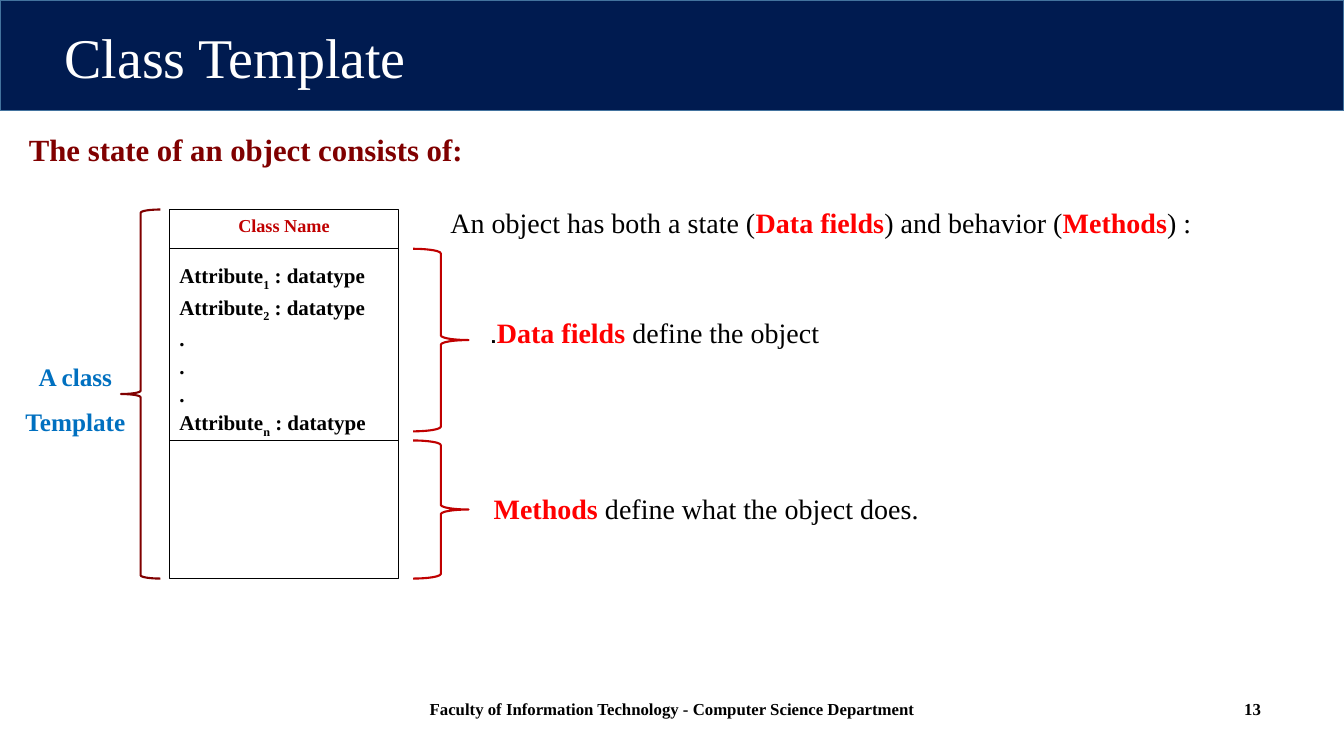
"""Builds the slide that explains a class template with its data fields and methods."""
from dataclasses import dataclass
from typing import NamedTuple

from lxml import etree
from pptx import Presentation
from pptx.dml.color import RGBColor
from pptx.enum.shapes import MSO_CONNECTOR, MSO_SHAPE
from pptx.enum.text import MSO_ANCHOR, MSO_AUTO_SIZE, PP_ALIGN
from pptx.oxml.ns import qn
from pptx.util import Cm, Pt

LEFT, CENTER, RIGHT = PP_ALIGN.LEFT, PP_ALIGN.CENTER, PP_ALIGN.RIGHT
TOP, MIDDLE = MSO_ANCHOR.TOP, MSO_ANCHOR.MIDDLE
RECTANGLE = MSO_SHAPE.RECTANGLE
LEFT_BRACE, RIGHT_BRACE = MSO_SHAPE.LEFT_BRACE, MSO_SHAPE.RIGHT_BRACE
STRAIGHT = MSO_CONNECTOR.STRAIGHT
NO_AUTOFIT = MSO_AUTO_SIZE.NONE
TITLE_ONLY = 5


@dataclass(frozen=True)
class Theme:
    """Holds the font, colours and type sizes of the slide."""
    font: str = "Times New Roman"
    navy: str = "001B50"
    steel: str = "43739E"
    white: str = "FFFFFF"
    black: str = "000000"
    maroon: str = "800000"
    crimson: str = "C00000"
    red: str = "FF0000"
    blue: str = "0070C0"
    title: int = 40
    heading: int = 22
    body: int = 20
    label: int = 18
    attribute: int = 15
    class_name: int = 13
    footer: int = 12


THEME = Theme()


class Area(NamedTuple):
    """Gives left, top, width and height in centimetres."""
    left: float
    top: float
    width: float
    height: float


class Span(NamedTuple):
    """Describes one stretch of text in one format."""
    text: str
    size: int = THEME.body
    color: str = THEME.black
    bold: bool = False
    subscript: bool = False


@dataclass(frozen=True)
class Line:
    """Describes one paragraph."""
    spans: list[Span]
    align: PP_ALIGN = LEFT
    spacing: float = 1.0
    before: float = 0
    after: float = 0
    right_to_left: bool = False


@dataclass(frozen=True)
class Label:
    """Describes one text box."""
    area: Area
    lines: list[Line]
    anchor: MSO_ANCHOR = TOP


@dataclass(frozen=True)
class Outline:
    """Describes one preset shape with its line and fill."""
    kind: MSO_SHAPE
    area: Area
    color: str
    weight: float
    fill: str | None = None


def keyword(text: str) -> Span:
    """Returns a highlighted term."""
    return Span(text, color=THEME.red, bold=True)


def attribute(index: str, before: float = 0) -> Line:
    """Returns one attribute line with its subscript index."""
    size = THEME.attribute
    return Line([Span("Attribute", size, bold=True),
                 Span(index, size, bold=True, subscript=True),
                 Span(" : datatype", size, bold=True)], before=before, after=2)


BANNER = Outline(RECTANGLE, Area(0, 0, 33.87, 2.79), THEME.steel, 1, THEME.navy)
TITLE = Label(Area(1.37, 0.61, 23.44, 1.8),
              [Line([Span("Class Template", THEME.title, THEME.white)], spacing=0.9)], MIDDLE)

CLASS_LEFT, CLASS_TOP, CLASS_WIDTH, CLASS_HEIGHT = 4.27, 5.28, 5.77, 9.3
CLASS_BOTTOM = CLASS_TOP + CLASS_HEIGHT
FIELDS_TOP, METHODS_TOP = 6.27, 11.1
BRACE_LEFT, BRACE_WIDTH = 10.41, 1.4

CLASS_BOX = Outline(RECTANGLE, Area(CLASS_LEFT, CLASS_TOP, CLASS_WIDTH, CLASS_HEIGHT),
                    THEME.black, 0.75, THEME.white)
CLASS_LINES = [
    Line([Span("Class Name", THEME.class_name, THEME.crimson, True)], CENTER, after=2),
    attribute("1", before=17),
    attribute("2"),
    *[Line([Span(".", THEME.attribute, bold=True)], after=2)] * 3,
    attribute("n"),
]
BRACES = [
    Outline(RIGHT_BRACE, Area(BRACE_LEFT, FIELDS_TOP, BRACE_WIDTH, 4.6), THEME.crimson, 1.5),
    Outline(RIGHT_BRACE, Area(BRACE_LEFT, METHODS_TOP, BRACE_WIDTH, CLASS_BOTTOM - METHODS_TOP),
            THEME.crimson, 1.5),
    Outline(LEFT_BRACE, Area(3.05, CLASS_TOP, 0.99, CLASS_HEIGHT), THEME.maroon, 1.5),
]
LABELS = [
    Label(Area(0.48, 3.18, 15.11, 1.19),
          [Line([Span("The state of an object consists of:", THEME.heading, THEME.maroon, True)])]),
    Label(Area(12.19, 11.84, 13.69, 2.57),
          [Line([keyword("Methods"), Span(" define what the object does.")], spacing=1.5)]),
    Label(Area(11.1, 5.05, 20.5, 1.12),
          [Line([Span("An object has both a state ("), keyword("Data fields"),
                 Span(") and behavior ("), keyword("Methods"), Span(") :")])]),
    Label(Area(11.5, 7.82, 9.4, 1.12),
          [Line([keyword("Data fields "), Span("define the object.")], RIGHT,
                right_to_left=True)]),
    Label(Area(0, 8.99, 3.8, 2.16),
          [Line([Span(word, THEME.label, THEME.blue, True)], CENTER, after=10)
           for word in ("A class", "Template")]),
    Label(Area(5.44, 17.48, 23.01, 1.22),
          [Line([Span("Faculty of Information Technology - Computer Science Department",
                      THEME.footer, bold=True)], CENTER)]),
    Label(Area(24.41, 17.35, 7.62, 1.02),
          [Line([Span("13", THEME.footer, bold=True)], RIGHT)], MIDDLE),
]


def write(box, lines: list[Line], *, anchor: MSO_ANCHOR = TOP) -> None:
    """Fills a shape with formatted paragraphs."""
    frame = box.text_frame
    frame.word_wrap = True
    frame.auto_size = NO_AUTOFIT
    frame.vertical_anchor = anchor
    for number, line in enumerate(lines):
        para = frame.add_paragraph() if number else frame.paragraphs[0]
        para.alignment = line.align
        para.line_spacing = line.spacing
        para.space_before, para.space_after = Pt(line.before), Pt(line.after)
        if line.right_to_left:
            para._p.get_or_add_pPr().set("rtl", "1")
        for span in line.spans:
            run = para.add_run()
            run.text = span.text
            run.font.name, run.font.size = THEME.font, Pt(span.size)
            run.font.bold = span.bold
            run.font.color.rgb = RGBColor.from_string(span.color)
            if span.subscript:
                run._r.get_or_add_rPr().set("baseline", "-25000")


def draw_outline(page, outline: Outline):
    """Adds a preset shape and returns it."""
    shape = page.shapes.add_shape(outline.kind, *map(Cm, outline.area))
    shape.shadow.inherit = False
    shape.line.color.rgb = RGBColor.from_string(outline.color)
    shape.line.width = Pt(outline.weight)
    if outline.fill:
        shape.fill.solid()
        shape.fill.fore_color.rgb = RGBColor.from_string(outline.fill)
    else:
        shape.fill.background()
    return shape


def draw_divider(page, top: float) -> None:
    """Adds a horizontal line across the class box."""
    divider = page.shapes.add_connector(STRAIGHT, Cm(CLASS_LEFT), Cm(top),
                                        Cm(CLASS_LEFT + CLASS_WIDTH), Cm(top))
    divider.line.color.rgb = RGBColor.from_string(THEME.black)
    divider.line.width = Pt(0.75)
    etree.SubElement(divider.element.spPr, qn("a:effectLst"))


def main() -> None:
    """Builds the deck and saves it."""
    deck = Presentation()
    deck.slide_width, deck.slide_height = Cm(33.87), Cm(19.05)
    page = deck.slides.add_slide(deck.slide_layouts[TITLE_ONLY])
    title = page.shapes.title
    title.left, title.top, title.width, title.height = map(Cm, TITLE.area)
    write(title, TITLE.lines, anchor=TITLE.anchor)
    title.element.addprevious(draw_outline(page, BANNER).element)
    write(draw_outline(page, CLASS_BOX), CLASS_LINES)
    for top in (FIELDS_TOP, METHODS_TOP):
        draw_divider(page, top)
    for brace in BRACES:
        draw_outline(page, brace)
    for label in LABELS:
        write(page.shapes.add_textbox(*map(Cm, label.area)), label.lines, anchor=label.anchor)
    deck.save("out.pptx")


if __name__ == "__main__":
    main()
